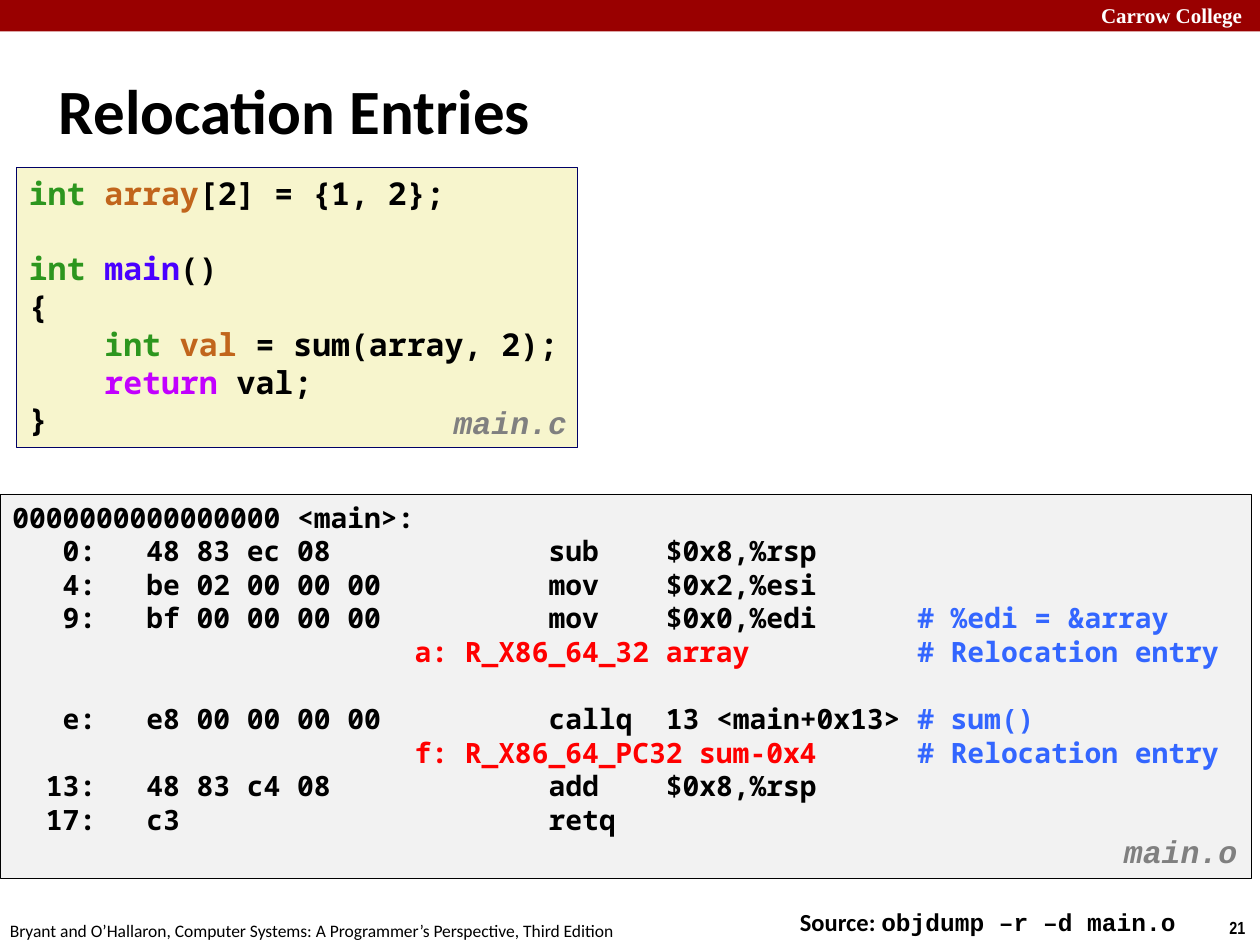
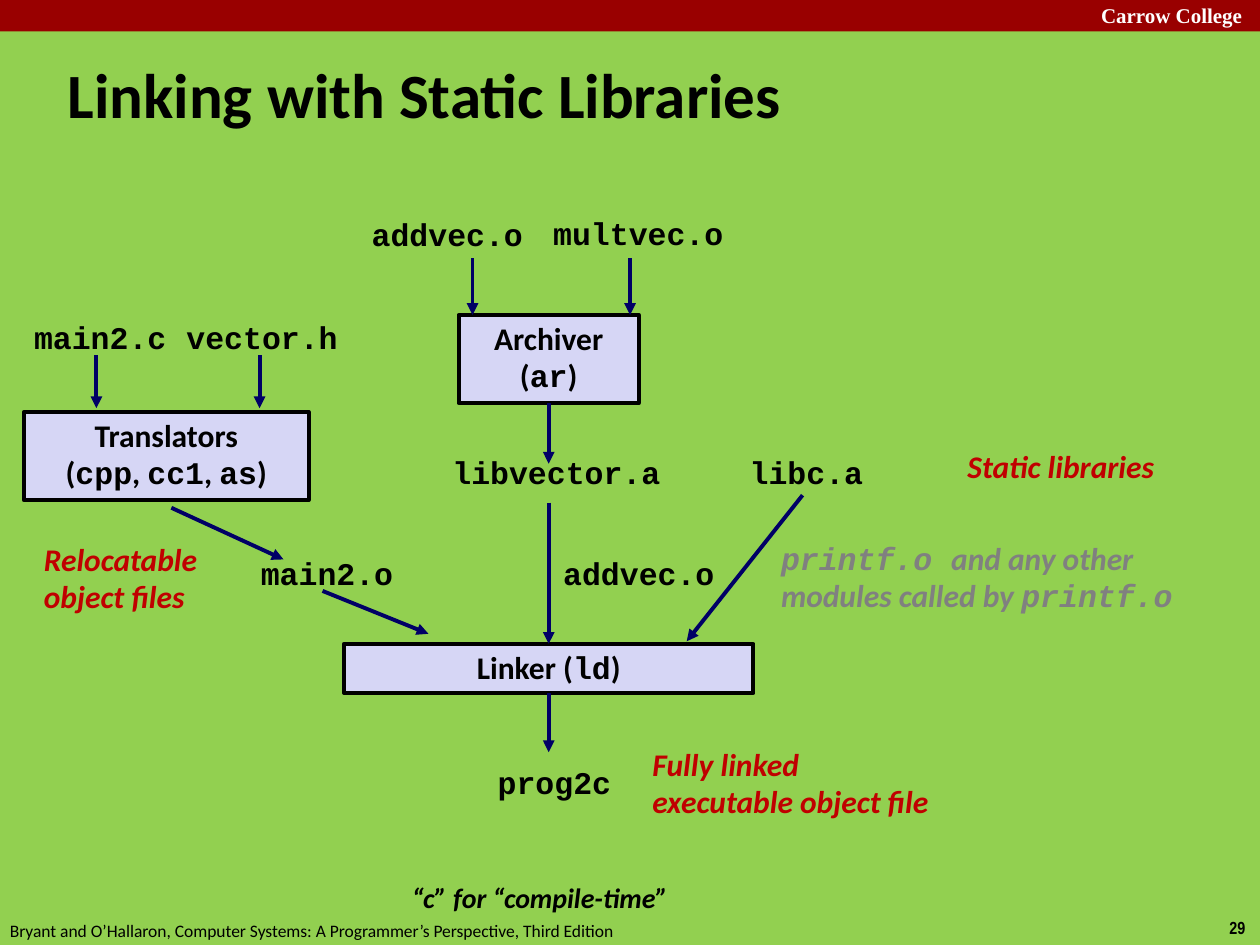
from pptx import Presentation
from pptx.dml.color import RGBColor
from pptx.enum.shapes import MSO_CONNECTOR, MSO_SHAPE
from pptx.enum.text import MSO_ANCHOR, PP_ALIGN
from pptx.oxml.ns import qn
from pptx.util import Inches, Pt
from lxml.etree import SubElement, Element

# The grid has square cells: 100 columns by 75 rows.
CELL = Inches(0.1)
COLS, ROWS = 100, 75
SANS, MONO, CODE = "Calibri", "Courier New", "Noto Sans Mono"
INKS = {
    "black": "000000", "white": "FFFFFF", "band": "990000", "green": "92D050",
    "navy": "000066", "lilac": "D6D6F5", "cream": "F7F5CD", "pale": "F2F2F2",
    "gray": "808080", "note": "C00000", "type": "2D961E", "var": "C1651C",
    "func": "4A00FF", "key": "C200FF", "reloc": "FF0000", "remark": "3366FF",
}
FOOTER = ("Bryant and O’Hallaron, Computer Systems: "
          "A Programmer’s Perspective, Third Edition")
ORG = "Carrow College"

# Listing columns, counted in characters
CHAR = 1.33
STEP_TABS = [(5, "r"), (8, "l"), (32, "l"), (39, "l"), (54, "l")]
RELOC_TABS = [(24, "l"), (54, "l")]


def grid(*cells):
    return [round(cell * CELL) for cell in cells]


def ink(name):
    return RGBColor.from_string(INKS[name])


def write(shape, lines, size=18, face=SANS, color="black", bold=True,
          italic=False, align=PP_ALIGN.LEFT, space=None, wrap=False):
    """Fill a shape with lines; a line is a list of runs.

    A run is a string, or a pair of a string and its own ink or face.
    """
    frame = shape.text_frame
    frame.word_wrap = wrap
    frame.vertical_anchor = MSO_ANCHOR.TOP
    for row, line in enumerate(lines):
        para = frame.add_paragraph() if row else frame.paragraphs[0]
        para.alignment = align
        para.line_spacing = space
        font = para.font
        font.size, font.name, font.bold, font.italic = Pt(size), face, bold, italic
        font.color.rgb = ink(color)
        for part in line:
            words, mark = (part, None) if isinstance(part, str) else part
            run = para.add_run()
            run.text = words
            if mark in INKS:
                run.font.color.rgb = ink(mark)
            elif mark:
                run.font.name = mark
    return frame.paragraphs


def label(slide, at, lines, **style):
    shape = slide.shapes.add_textbox(*grid(*at))
    write(shape, lines, **style)
    return shape


def panel(slide, at, fill, line=None, width=0.25):
    shape = slide.shapes.add_shape(MSO_SHAPE.RECTANGLE, *grid(*at))
    shape.shadow.inherit = False
    shape.fill.solid()
    shape.fill.fore_color.rgb = ink(fill)
    if line:
        shape.line.color.rgb = ink(line)
        shape.line.width = Pt(width)
    else:
        shape.line.fill.background()
    return shape


def tool(slide, at, lines):
    shape = panel(slide, at, "lilac", "black", 2.25)
    write(shape, lines, align=PP_ALIGN.CENTER, space=0.98, wrap=True)
    return shape


def file(slide, name, x, y, color="black", italic=False):
    """Name a file in a box as wide as its letters."""
    label(slide, (x, y, 1.5 * len(name) + 2, 3.9), [[name]], face=MONO,
          color=color, italic=italic, align=PP_ALIGN.CENTER, space=0.94)


def note(slide, at, *lines):
    label(slide, at, [[line] for line in lines], color="note", italic=True,
          space=0.98)


def arrow(slide, start, end, source=None, target=None):
    """Draw an arrow; it leaves a source's bottom and meets a target's top."""
    line = slide.shapes.add_connector(MSO_CONNECTOR.STRAIGHT,
                                      *grid(*start, *end))
    line.line.color.rgb = ink("navy")
    line.line.width = Pt(2.25)
    SubElement(line.line._get_or_add_ln(), qn("a:tailEnd"), type="triangle")
    SubElement(line._element.spPr, qn("a:effectLst"))
    if source:
        line.begin_connect(source, 2)
    if target:
        line.end_connect(target, 0)


def set_tabs(para, stops):
    tabs = Element(qn("a:tabLst"))
    for col, side in stops:
        SubElement(tabs, qn("a:tab"), pos=str(grid(col * CHAR)[0]), algn=side)
    para._p.pPr.find(qn("a:defRPr")).addprevious(tabs)


def start(deck, title, at, number, back="white", space=None):
    """Add a slide with its background, band, footer and title."""
    slide = deck.slides.add_slide(deck.slide_layouts[6])
    slide.background.fill.solid()
    slide.background.fill.fore_color.rgb = ink(back)
    panel(slide, (0, 0, COLS, 2.5), "band")
    label(slide, (86.4, -0.3, 14.3, 3), [[ORG]], size=12,
          face="Times New Roman", color="white", wrap=True)
    label(slide, (96.6, 72.3, 3.4, 2.7), [[str(number)]], size=10,
          face="Arial Narrow")
    label(slide, (-0.2, 72.5, 50.8, 2.7), [[FOOTER]], size=10, bold=False)
    head = label(slide, at, [[title]], size=36, space=space, wrap=True)
    head.text_frame.vertical_anchor = MSO_ANCHOR.MIDDLE
    return slide


def draw_source(slide):
    box = panel(slide, (1.3, 13.3, 44.5, 22.2), "cream", "navy")
    paras = write(box, [
        [("int ", "type"), ("array", "var"), "[2] = {1, 2};"],
        [("int ", "type"), ("main", "func"), "()"],
        ["{"],
        [("int ", "type"), ("val", "var"), " = sum(array, 2);"],
        [("return", "key"), " val;"],
        ["}"],
    ], face=CODE, wrap=True)
    paras[1].space_before = Pt(21.5)
    for para in paras[3:5]:
        para._p.pPr.set("marL", str(grid(6)[0]))
    file(slide, "main.c", 35, 31.7, "gray", True)


def draw_object(slide):
    steps = [
        ("0:", "48 83 ec 08", "sub", "$0x8,%rsp"),
        ("4:", "be 02 00 00 00", "mov", "$0x2,%esi"),
        ("9:", "bf 00 00 00 00", "mov", "$0x0,%edi", "# %edi = &array"),
        ("a: R_X86_64_32 array", "# Relocation entry"),
        ("e:", "e8 00 00 00 00", "callq", "13 <main+0x13>", "# sum()"),
        ("f: R_X86_64_PC32 sum-0x4", "# Relocation entry"),
        ("13:", "48 83 c4 08", "add", "$0x8,%rsp"),
        ("17:", "c3", "retq"),
    ]
    lines = [["0000000000000000 <main>:"]]
    for step in steps:
        main = "reloc" if len(step) == 2 else "black"
        lines.append([("\t" + part, "remark" if part[0] == "#" else main)
                      for part in step])
    box = panel(slide, (0, 39.2, 99.3, 30.5), "pale", "black")
    paras = write(box, lines, size=16, face=CODE, wrap=True)
    for para, step in zip(paras[1:], steps):
        set_tabs(para, RELOC_TABS if len(step) == 2 else STEP_TABS)
        if step[0] == "e:":
            para.space_before = Pt(19.2)
    file(slide, "main.o", 88.2, 65.8, "gray", True)


def draw_entries(deck):
    slide = start(deck, "Relocation Entries", (3.7, 4.9, 95.3, 8.6), 21,
                  space=0.82)
    label(slide, (62.5, 71.6, 32.1, 3.4),
          [["Source: ", ("objdump –r –d main.o", MONO)]], size=14, space=0.98)
    draw_object(slide)
    draw_source(slide)


def draw_linking(deck):
    slide = start(deck, "Linking with Static Libraries",
                  (4.4, 3.1, 61.4, 8.6), 29, "green")
    tool(slide, (1.9, 32.7, 22.6, 7), [
        ["Translators"],
        ["(", ("cpp", MONO), ", ", ("cc1", MONO), ", ", ("as", MONO), ")"]])
    archiver = tool(slide, (36.4, 25, 14.3, 7),
                    [["Archiver"], ["(", ("ar", MONO), ")"]])
    linker = tool(slide, (27.3, 51.1, 32.5, 3.9),
                  [["Linker (", ("ld", MONO), ")"]])

    for name, x, y in [
            ("addvec.o", 28.5, 16.8), ("multvec.o", 42.9, 16.7),
            ("main2.c", 1.7, 25), ("vector.h", 13.8, 25),
            ("libvector.a", 34.9, 35.7), ("libc.a", 58.5, 35.7),
            ("main2.o", 19.7, 43.7), ("addvec.o", 43.7, 43.7),
            ("prog2c", 38.5, 60.3)]:
        file(slide, name, x, y)

    for x in (7.65, 20.6):
        arrow(slide, (x, 28.2), (x, 32.4))
    for x in (37.5, 50):
        arrow(slide, (x, 20.5), (x, 25))
    arrow(slide, (13.6, 40.3), (22.5, 44.4))
    arrow(slide, (25.6, 46.9), (34, 50.3))
    arrow(slide, (63.7, 39.3), (54.5, 50.9))
    axis = 43.55
    arrow(slide, (axis, 32), (axis, 36.8), source=archiver)
    arrow(slide, (axis, 39.9), (axis, 51.1), target=linker)
    arrow(slide, (axis, 55), (axis, 59.7), source=linker)

    note(slide, (75.8, 35.1, 17, 4), "Static libraries")
    note(slide, (2.5, 42.5, 14.3, 7), "Relocatable", "object files")
    note(slide, (50.8, 58.8, 24.2, 7), "Fully linked", "executable object file")
    label(slide, (61, 42.5, 34.8, 6.9), [
        [("printf.o ", MONO), "and any other"],
        ["modules called by ", ("printf.o", MONO)],
    ], color="gray", italic=True, space=0.96)
    label(slide, (31.7, 69.4, 23.8, 3.7), [["“c” for “compile-time”"]],
          size=16, italic=True)


def main():
    deck = Presentation()
    deck.slide_width, deck.slide_height = grid(COLS, ROWS)
    draw_entries(deck)
    draw_linking(deck)
    deck.save("out.pptx")


if __name__ == "__main__":
    main()
